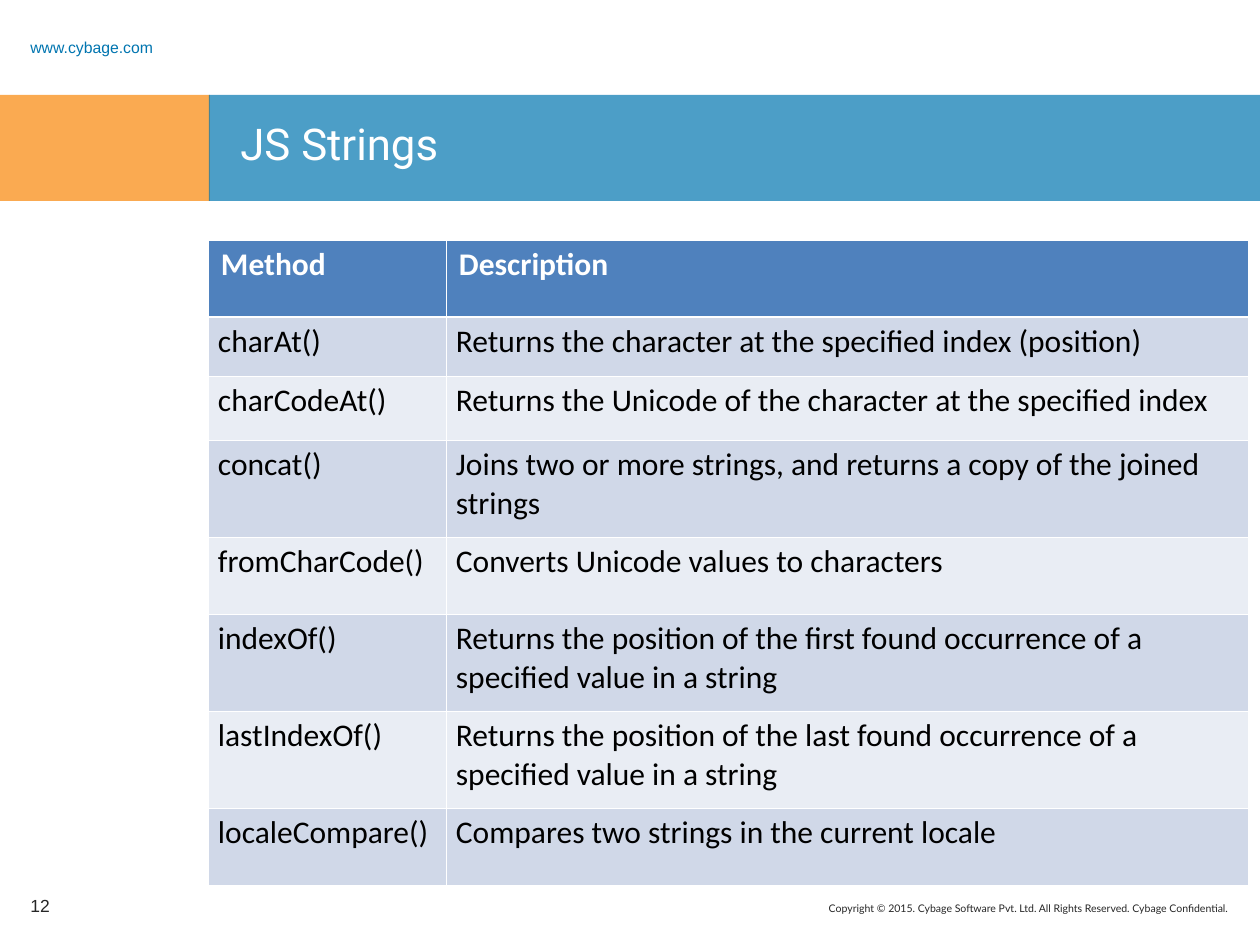
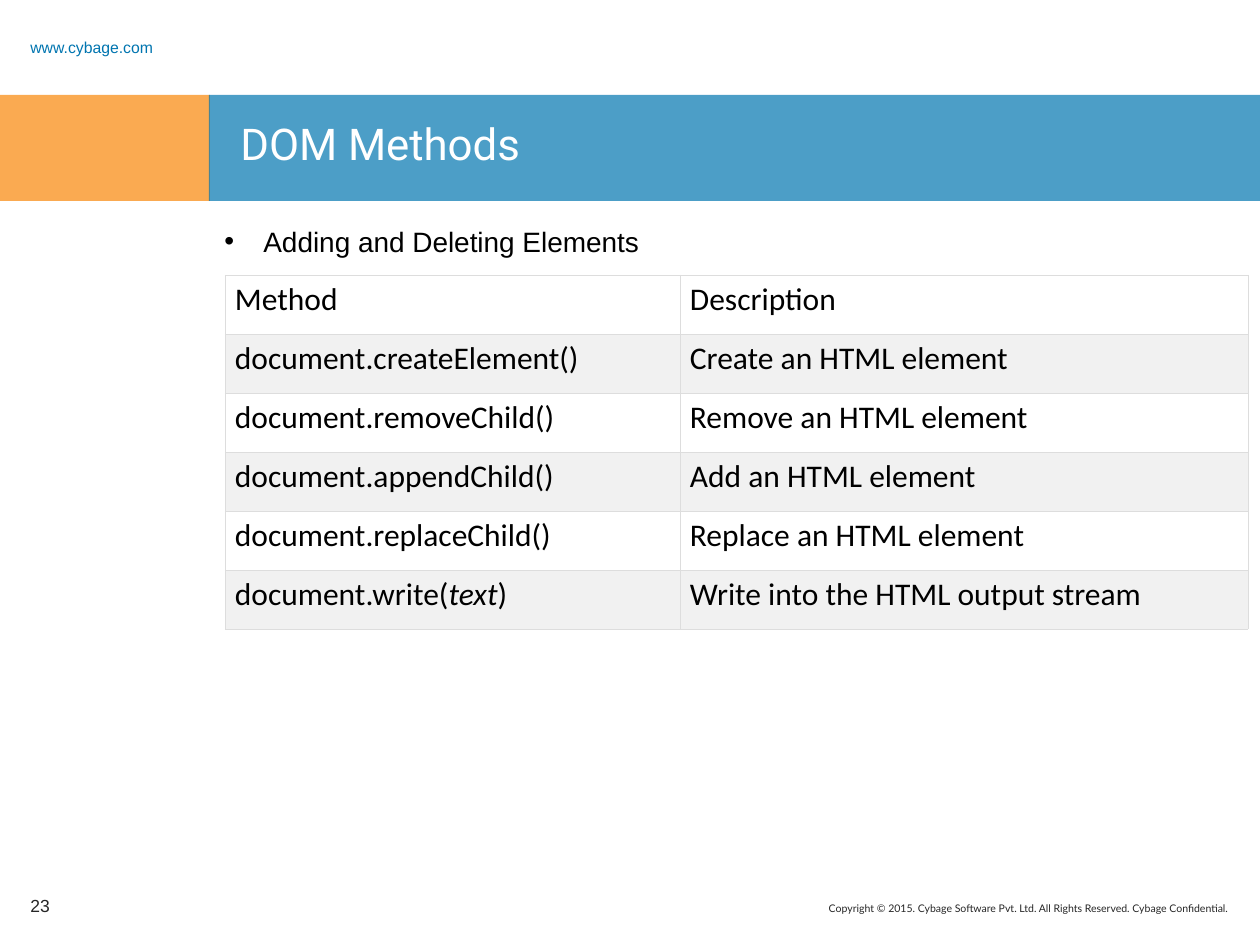
"""Build two lesson slides with method tables under a shared banner."""
from lxml import etree
from pptx import Presentation
from pptx import util as u
from pptx.dml.color import RGBColor
from pptx.enum import shapes, text as t
from pptx.oxml.ns import qn

PX_PER_INCH = 126
COLOURS = {
    "orange": "F88608", "blue": "0075B0", "white": "FFFFFF", "black": "000000",
    "ink": "262626", "header": "4F81BD", "band": "D0D8E8", "pale": "E9EDF4",
    "grey": "F1F1F1", "rule": "DDDDDD",
}
WEBSITE = "www.cybage.com"
COPYRIGHT = ("Copyright © 2015. Cybage Software Pvt. Ltd. All Rights Reserved. "
             "Cybage Confidential.")
STRING_METHODS = [
    ("Method", "Description"),
    ("charAt()", "Returns the character at the specified index (position)"),
    ("charCodeAt()", "Returns the Unicode of the character at the specified index"),
    ("concat()", "Joins two or more strings, and returns a copy of the joined strings"),
    ("fromCharCode()", "Converts Unicode values to characters"),
    ("indexOf()", "Returns the position of the first found occurrence of a "
                  "specified value in a string"),
    ("lastIndexOf()", "Returns the position of the last found occurrence of a "
                      "specified value in a string"),
    ("localeCompare()", "Compares two strings in the current locale"),
]
DOM_METHODS = [
    ("Method", "Description"),
    ("document.createElement()", "Create an HTML element"),
    ("document.removeChild()", "Remove an HTML element"),
    ("document.appendChild()", "Add an HTML element"),
    ("document.replaceChild()", "Replace an HTML element"),
    ("document.write(*text*)", "Write into the HTML output stream"),
]


def px(length):
    """Turn pixels into EMU."""
    return u.Inches(length / PX_PER_INCH)


def rgb(name):
    """Look up a named colour."""
    return RGBColor.from_string(COLOURS[name])


def add_bullet(para, indent):
    """Give a paragraph a round bullet with a hanging indent in px."""
    props = para._p.get_or_add_pPr()
    props.set("marL", str(px(indent)))
    props.set("indent", str(-px(indent)))
    colour = etree.SubElement(props, qn("a:buClr"))
    etree.SubElement(colour, qn("a:srgbClr"), val=COLOURS["black"])
    etree.SubElement(props, qn("a:buFont"), typeface="Arial")
    etree.SubElement(props, qn("a:buChar"), char="•")


def write_text(frame, text, size=18, font="Calibri", colour="black", bold=False,
               align=None, line_spacing=None, bullet_indent=None):
    """Write one paragraph, with the parts between asterisks in italics."""
    para = frame.paragraphs[0]
    if align is not None:
        para.alignment = align
    if line_spacing:
        para.line_spacing = line_spacing
    if bullet_indent:
        add_bullet(para, bullet_indent)
    for index, part in enumerate(text.split("*")):
        span = para.add_run()
        span.text = part
        span.font.size = u.Pt(size)
        span.font.name = font
        span.font.color.rgb = rgb(colour)
        span.font.bold = bold
        span.font.italic = index % 2 == 1


def add_text(page, place, text, anchor=t.MSO_ANCHOR.TOP, **style):
    """Add a wrapping text box."""
    box = page.shapes.add_textbox(*map(px, place))
    box.text_frame.word_wrap = True
    box.text_frame.vertical_anchor = anchor
    write_text(box.text_frame, text, **style)


def add_band(page, place, colour, opacity=70):
    """Add a translucent rectangle without an outline."""
    band = page.shapes.add_shape(shapes.MSO_SHAPE.RECTANGLE, *map(px, place))
    band.shadow.inherit = False
    band.line.fill.background()
    band.fill.solid()
    band.fill.fore_color.rgb = rgb(colour)
    tint = band._element.spPr.find(qn("a:solidFill")).find(qn("a:srgbClr"))
    etree.SubElement(tint, qn("a:alpha"), val=str(opacity * 1000))


def set_borders(cell, colour, **widths):
    """Draw the cell borders, given in points for L, R, T and B."""
    props = cell._tc.get_or_add_tcPr()
    for side, width in widths.items():
        line = etree.SubElement(props, qn(f"a:ln{side}"), w=str(u.Pt(width)))
        fill = etree.SubElement(line, qn("a:solidFill"))
        etree.SubElement(fill, qn("a:srgbClr"), val=COLOURS[colour])


def add_method_table(page, left, top, columns, heights, rows, fills, rule, width,
                     header=None):
    """Add a table with alternating fills and an optional coloured header."""
    frame = page.shapes.add_table(len(rows), len(columns), px(left), px(top),
                                  px(sum(columns)), px(sum(heights)))
    table = frame.table
    table.first_row = table.horz_banding = False
    for column, size in zip(table.columns, columns):
        column.width = px(size)
    for r, (row, height) in enumerate(zip(rows, heights)):
        table.rows[r].height = px(height)
        is_header = bool(header) and r == 0
        for c, text in enumerate(row):
            cell = table.cell(r, c)
            cell.margin_left = cell.margin_right = px(13 if is_header else 10)
            cell.margin_top = cell.margin_bottom = px(6)
            set_borders(cell, rule, L=width, R=width,
                        T=1.5 if header and r == 1 else width,
                        B=1.5 if is_header else width)
            cell.fill.solid()
            cell.fill.fore_color.rgb = rgb(header if is_header else fills[r % 2])
            write_text(cell.text_frame, text, bold=is_header,
                       colour="white" if is_header else "black")


def add_page(deck, title, number):
    """Add a slide with the shared banner, title and footer."""
    page = deck.slides.add_slide(deck.slide_layouts[6])
    add_text(page, (514, 896, 726, 33), COPYRIGHT, size=6, font="Lato",
             colour="ink", align=t.PP_ALIGN.RIGHT)
    add_band(page, (0, 95, 210, 106), "orange")
    add_band(page, (209, 95, 1051, 106), "blue")
    add_text(page, (18, 30, 190, 24), WEBSITE, anchor=t.MSO_ANCHOR.MIDDLE,
             size=9, font="Arial", colour="blue", line_spacing=1.5)
    add_text(page, (228, 111, 1000, 78), title, size=25, font="Roboto",
             colour="white")
    add_text(page, (18, 881, 68, 50), str(number), anchor=t.MSO_ANCHOR.MIDDLE,
             size=10, font="Arial", colour="ink")
    return page


def main():
    """Build and save the deck."""
    deck = Presentation()
    deck.slide_width, deck.slide_height = px(1260), px(945)

    page = add_page(deck, "JS Strings", 12)
    add_method_table(page, 208, 240, (238, 802), (77, 59, 64, 97, 77, 97, 97, 77),
                     STRING_METHODS, ("pale", "band"), "white", 0.45,
                     header="header")

    page = add_page(deck, "DOM Methods", 23)
    add_text(page, (212, 218, 1015, 139), "Adding and Deleting Elements", size=16,
             font="Arial", bullet_indent=39)
    add_method_table(page, 225, 275, (455, 568), [59] * len(DOM_METHODS),
                     DOM_METHODS, ("white", "grey"), "rule", 0.34)

    deck.save("out.pptx")


if __name__ == "__main__":
    main()
